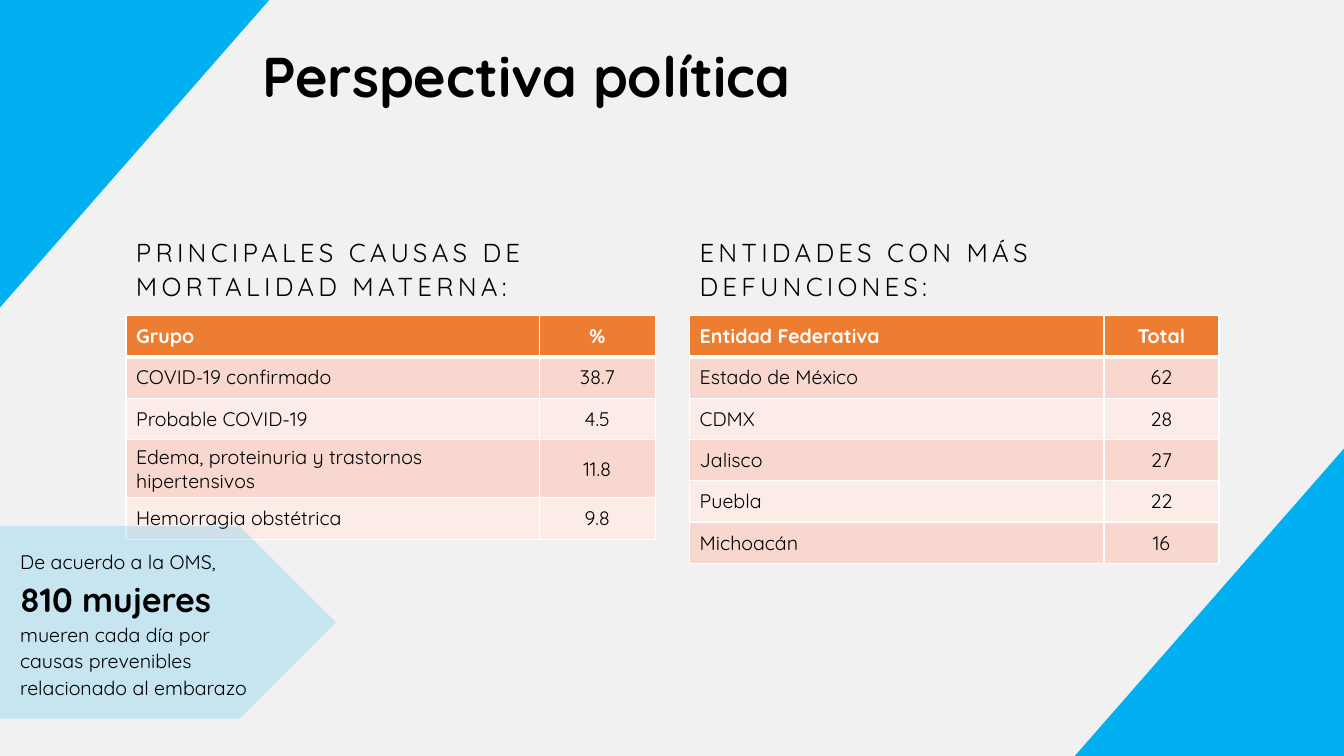
from dataclasses import dataclass

from lxml.etree import SubElement as Sub
from pptx import Presentation
from pptx.dml.color import RGBColor as Rgb
from pptx.enum.shapes import MSO_SHAPE as Kind
from pptx.enum.text import MSO_ANCHOR as Anchor, PP_ALIGN as Align
from pptx.oxml import parse_xml
from pptx.oxml.ns import nsdecls, qn
from pptx.util import Inches as In, Pt


@dataclass(frozen=True)
class Theme:
    font: str = "Quicksand"
    back: str = "F2F1F1"
    blue: str = "00B0F0"
    head: str = "ED7D31"
    bands: tuple = ("F8D7CE", "FCECE8")
    ink: str = "000000"
    white: str = "FFFFFF"
    title: float = 40
    big: float = 24
    label: float = 18.5
    body: float = 14


T = Theme()
WIDE, HIGH = 13.33, 7.5
LEFT, STEP, COL = 1.25, 5.59, 5.25  # two columns of content
ROW = 0.41

CAUSES = [("Grupo", "%"), ("COVID-19 confirmado", "38.7"),
          ("Probable COVID-19", "4.5"),
          ("Edema, proteinuria y trastornos hipertensivos", "11.8"),
          ("Hemorragia obstétrica", "9.8")]
STATES = [("Entidad Federativa", "Total"), ("Estado de México", "62"),
          ("CDMX", "28"), ("Jalisco", "27"), ("Puebla", "22"),
          ("Michoacán", "16")]


def paint(shape, color):
    shape.fill.solid()
    shape.fill.fore_color.rgb = Rgb.from_string(color)
    shape.line.fill.background()
    shape.shadow.inherit = False


def write(para, text, size=T.body, color=T.ink, bold=False,
          align=Align.LEFT, lead=1.0, before=0, track=0):
    para.alignment = align
    para.line_spacing = lead
    para.space_before = Pt(before)
    run = para.add_run()
    run.text = text
    font = run.font
    font.name, font.size, font.bold = T.font, Pt(size), bold
    font.color.rgb = Rgb.from_string(color)
    if track:
        run._r.get_or_add_rPr().set("spc", str(track * 100))


def corner(slide, points):
    (x, y), *rest = [(In(a), In(b)) for a, b in points]
    pen = slide.shapes.build_freeform(x, y)
    pen.add_line_segments(rest, close=True)
    paint(pen.convert_to_shape(), T.blue)


def title(slide, text, box):
    shape = slide.shapes.title
    shape.left, shape.top, shape.width, shape.height = map(In, box)
    frame = shape.text_frame
    frame.word_wrap = True
    frame.vertical_anchor = Anchor.MIDDLE
    write(frame.paragraphs[0], text, size=T.title, bold=True)


def label(slide, text, box):
    frame = slide.shapes.add_textbox(*map(In, box)).text_frame
    frame.word_wrap = True
    frame.vertical_anchor = Anchor.BOTTOM
    write(frame.paragraphs[0], text, size=T.label, lead=1.1, before=10, track=3)


def edges(cell, widths):
    props = cell._tc.get_or_add_tcPr()
    for spot, (side, width) in enumerate(widths.items()):
        line = parse_xml(f'<a:ln{side} {nsdecls("a")} w="{Pt(width)}"><a:solidFill>'
                         f'<a:srgbClr val="{T.white}"/></a:solidFill></a:ln{side}>')
        props.insert(spot, line)


def grid(slide, rows, box, last, tall):
    """Draw a banded table; last is the width of the number column."""
    x, y, w = box
    table = slide.shapes.add_table(len(rows), 2, In(x), In(y), In(w),
                                   In(ROW * len(rows))).table
    for col, width in zip(table.columns, (w - last, last)):
        col.width = In(width)
    for r, row in enumerate(rows):
        table.rows[r].height = In(tall.get(r, ROW))
        for c, text in enumerate(row):
            cell = table.cell(r, c)
            cell.vertical_anchor = Anchor.MIDDLE
            cell.fill.solid()
            fill = T.bands[(r - 1) % 2] if r else T.head
            cell.fill.fore_color.rgb = Rgb.from_string(fill)
            edges(cell, {"L": 1, "R": 1, "T": 3 if r == 1 else 1,
                         "B": 1 if r else 3})
            write(cell.text_frame.paragraphs[0], text, bold=r == 0,
                  color=T.ink if r else T.white,
                  align=Align.CENTER if c else Align.LEFT)


def panel(slide, head, rows, box, last, tall):
    x, y, w = box
    label(slide, head, (x, y, w, 0.78))
    grid(slide, rows, (x, y + 0.87, w), last, tall)


def callout(slide, box):
    shape = slide.shapes.add_shape(Kind.PENTAGON, *map(In, box))
    paint(shape, T.blue)
    tint = shape._element.spPr.find(qn("a:solidFill"))[0]
    Sub(tint, qn("a:alpha")).set("val", "18000")
    frame = shape.text_frame
    frame.word_wrap = True
    frame.vertical_anchor = Anchor.TOP
    frame.margin_left = frame.margin_right = In(0.2)
    frame.margin_top = frame.margin_bottom = In(0.2)
    first = frame.paragraphs[0]
    write(first, "De acuerdo a la OMS, ", lead=1.14)
    write(first, "810 mujeres", size=T.big, bold=True, lead=1.14)
    write(frame.add_paragraph(), "mueren cada día por causas prevenibles "
          "relacionado al embarazo", lead=1.14)


def main():
    deck = Presentation()
    deck.slide_width, deck.slide_height = In(WIDE), In(HIGH)
    slide = deck.slides.add_slide(deck.slide_layouts[5])
    back = slide.background.fill
    back.solid()
    back.fore_color.rgb = Rgb.from_string(T.back)

    # Corner triangles
    w, h = 2.67, 3.05
    corner(slide, [(0, h), (0, 0), (w, 0)])
    corner(slide, [(WIDE, HIGH - h), (WIDE, HIGH), (WIDE - w, HIGH)])

    # Heading
    title(slide, "Perspectiva política", (2.5, 0, WIDE - 2.5, 1.49))

    # Two headed tables
    panels = [("PRINCIPALES CAUSAS DE MORTALIDAD MATERNA:", CAUSES, 1.15, {3: 0.58}),
              ("ENTIDADES CON MÁS DEFUNCIONES:", STATES, 1.14, {})]
    for n, (head, rows, last, tall) in enumerate(panels):
        panel(slide, head, rows, (LEFT + n * STEP, 2.26, COL), last, tall)

    # Arrow-shaped note
    callout(slide, (0, 5.22, WIDE / 4, 1.91))
    deck.save("out.pptx")


if __name__ == "__main__":
    main()
